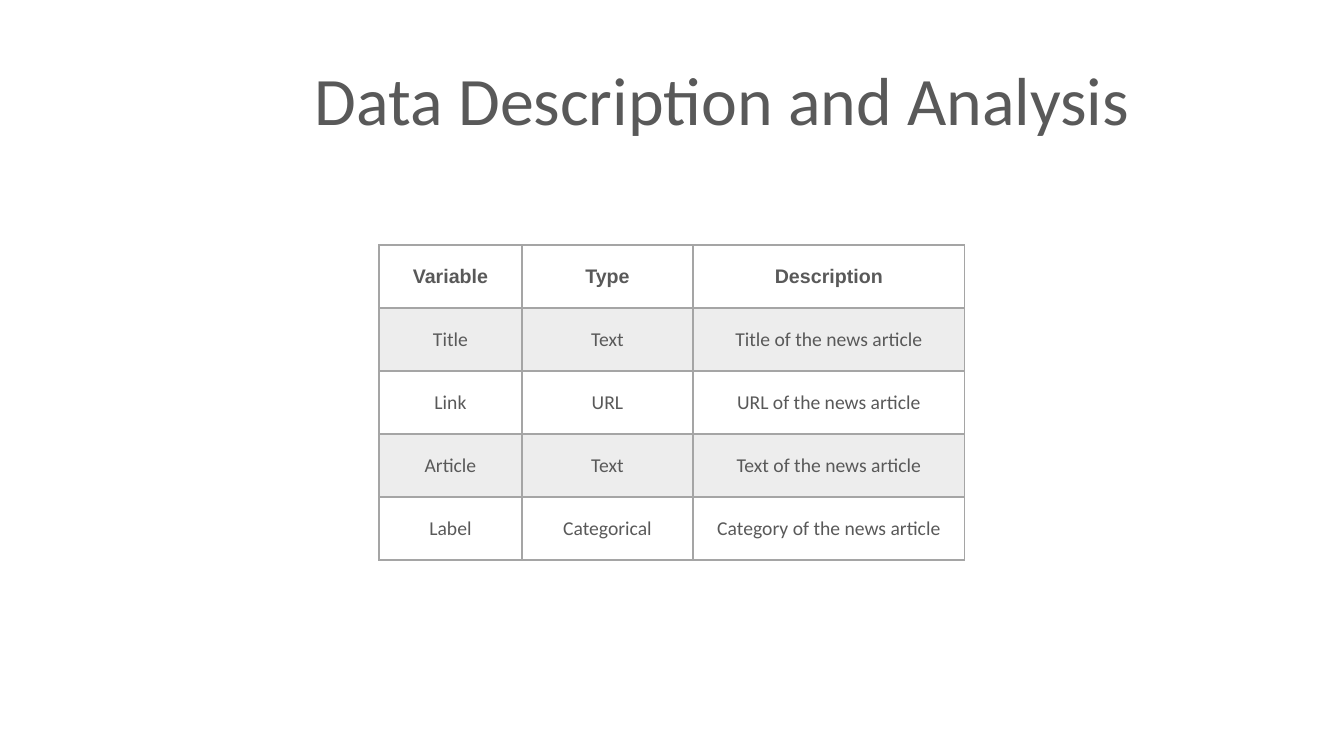
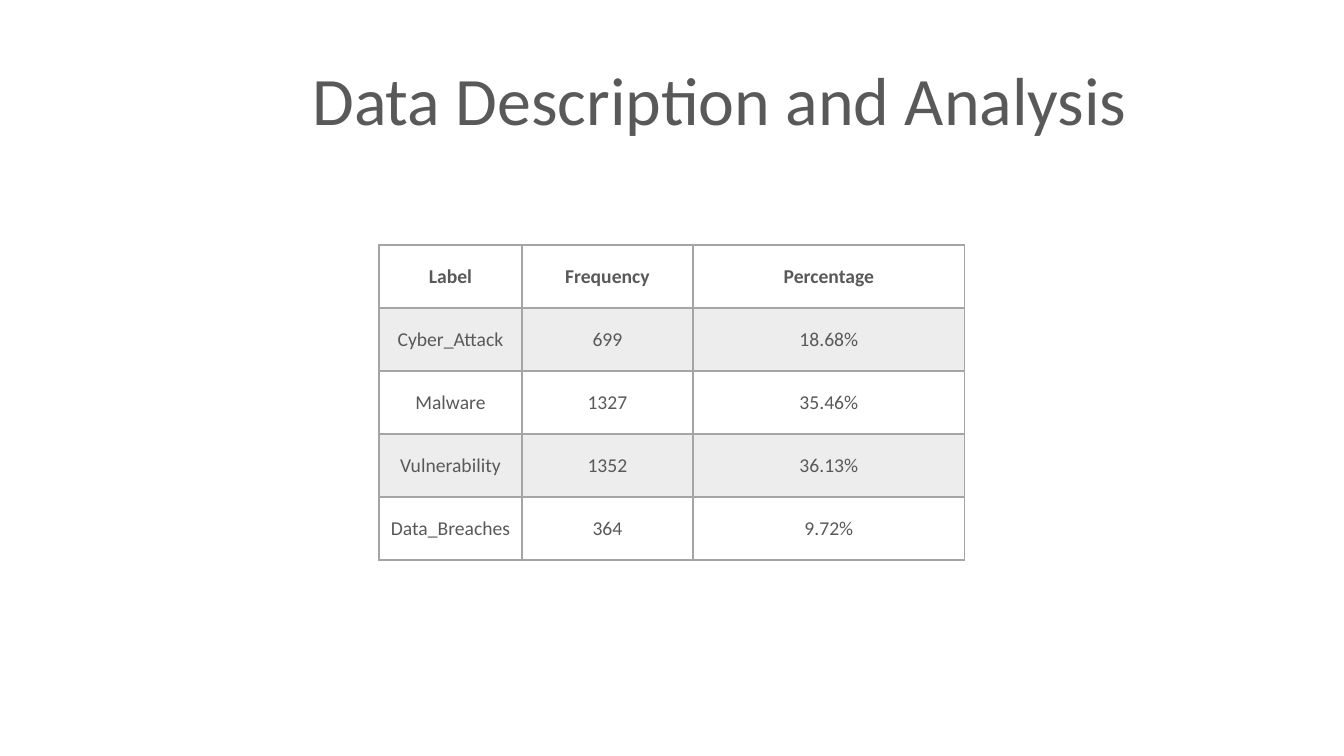
from pptx import Presentation
from pptx.dml.color import RGBColor
from pptx.enum.text import MSO_ANCHOR as Anchor, PP_ALIGN as Align
from pptx.oxml.ns import qn
from pptx.util import Emu, Pt
from lxml.etree import SubElement

# Shared look
PX_PER_INCH = 100.8
TEXT_COLOUR = "595959"
GRID_COLOUR = "A5A5A5"
BAND_OPACITY = 20
COLUMN_WIDTHS = [143, 171, 272]
ROW_HEIGHT = 63
TABLE_LEFT, TABLE_TOP = 379, 245

TITLE_TEXT = "Data Description and Analysis"
TITLE_FONT = {"name": "Calibri", "size": Pt(48.5), "bold": False}
BODY_FONT = {"name": "Calibri", "size": Pt(14), "bold": False}
HEAD_FONT = BODY_FONT | {"bold": True}
ARIAL_HEAD_FONT = HEAD_FONT | {"name": "Arial"}

# Cell layouts: side margin, top and bottom margin, line spacing
TIGHT = (7, 0, 0.95)
ROOMY = (10, 5, 1.0)

VARIABLES = [
    ["Variable", "Type", "Description"],
    ["Title", "Text", "Title of the news article"],
    ["Link", "URL", "URL of the news article"],
    ["Article", "Text", "Text of the news article"],
    ["Label", "Categorical", "Category of the news article"],
]
LABELS = [
    ["Label", "Frequency", "Percentage"],
    ["Cyber_Attack", "699", "18.68%"],
    ["Malware", "1327", "35.46%"],
    ["Vulnerability", "1352", "36.13%"],
    ["Data_Breaches", "364", "9.72%"],
]


def px(length):
    return Emu(round(length * 914400 / PX_PER_INCH))


def colour(hex_text):
    return RGBColor.from_string(hex_text)


def set_attributes(target, values):
    for name, value in values.items():
        setattr(target, name, value)


def write(frame, text, font, spacing=1.0):
    """Put one centred line of text into a frame."""
    paragraph = frame.paragraphs[0]
    set_attributes(paragraph, {"alignment": Align.CENTER, "line_spacing": spacing})
    run = paragraph.add_run()
    run.text = text
    set_attributes(run.font, font)
    run.font.color.rgb = colour(TEXT_COLOUR)


def add_title(slide, width):
    title = slide.shapes.add_textbox(px(255), px(53), px(width), px(93))
    title.text_frame.word_wrap = True
    write(title.text_frame, TITLE_TEXT, TITLE_FONT)


def add_border(cell, side, points):
    line = SubElement(cell._tc.get_or_add_tcPr(), qn(f"a:ln{side}"), w=str(Pt(points)))
    fill = SubElement(line, qn("a:solidFill"))
    SubElement(fill, qn("a:srgbClr"), val=GRID_COLOUR)


def fill_cell(cell, banded):
    if not banded:
        cell.fill.background()
        return
    cell.fill.solid()
    cell.fill.fore_color.rgb = colour(GRID_COLOUR)
    tint = cell._tc.tcPr.find(f".//{qn('a:solidFill')}[last()]")
    tint = cell._tc.tcPr.find(qn("a:solidFill")).find(qn("a:srgbClr"))
    SubElement(tint, qn("a:alpha"), val=str(BAND_OPACITY * 1000))


def format_cell(cell, row, layout):
    side, edge, _ = layout
    set_attributes(cell, {
        "margin_left": px(side), "margin_right": px(side),
        "margin_top": px(edge), "margin_bottom": px(edge),
        "vertical_anchor": Anchor.MIDDLE,
    })
    # The rule under the header is twice as heavy as the grid
    widths = {"L": 1, "R": 1, "T": 2 if row == 1 else 1, "B": 2 if row == 0 else 1}
    for border, points in widths.items():
        add_border(cell, border, points)
    fill_cell(cell, banded=row % 2 == 1)


def add_data_table(slide, rows, head_font, head_layout):
    table = slide.shapes.add_table(
        len(rows), len(COLUMN_WIDTHS), px(TABLE_LEFT), px(TABLE_TOP),
        px(sum(COLUMN_WIDTHS)), px(ROW_HEIGHT * len(rows))).table
    set_attributes(table, {"first_row": False, "horz_banding": False})
    for column, width in zip(table.columns, COLUMN_WIDTHS):
        column.width = px(width)
    for row, texts in enumerate(rows):
        table.rows[row].height = px(ROW_HEIGHT)
        font, layout = (head_font, head_layout) if row == 0 else (BODY_FONT, TIGHT)
        for column, text in enumerate(texts):
            cell = table.cell(row, column)
            format_cell(cell, row, layout)
            write(cell.text_frame, text, font, layout[2])


def main():
    deck = Presentation()
    set_attributes(deck, {"slide_width": px(1344), "slide_height": px(756)})
    blank = deck.slide_layouts[6]

    # Title width, table rows, header font and header layout of each slide
    slides = [
        (934, VARIABLES, ARIAL_HEAD_FONT, ROOMY),
        (929, LABELS, HEAD_FONT, TIGHT),
    ]
    for title_width, rows, head_font, head_layout in slides:
        slide = deck.slides.add_slide(blank)
        add_title(slide, title_width)
        add_data_table(slide, rows, head_font, head_layout)

    deck.save("out.pptx")


if __name__ == "__main__":
    main()
